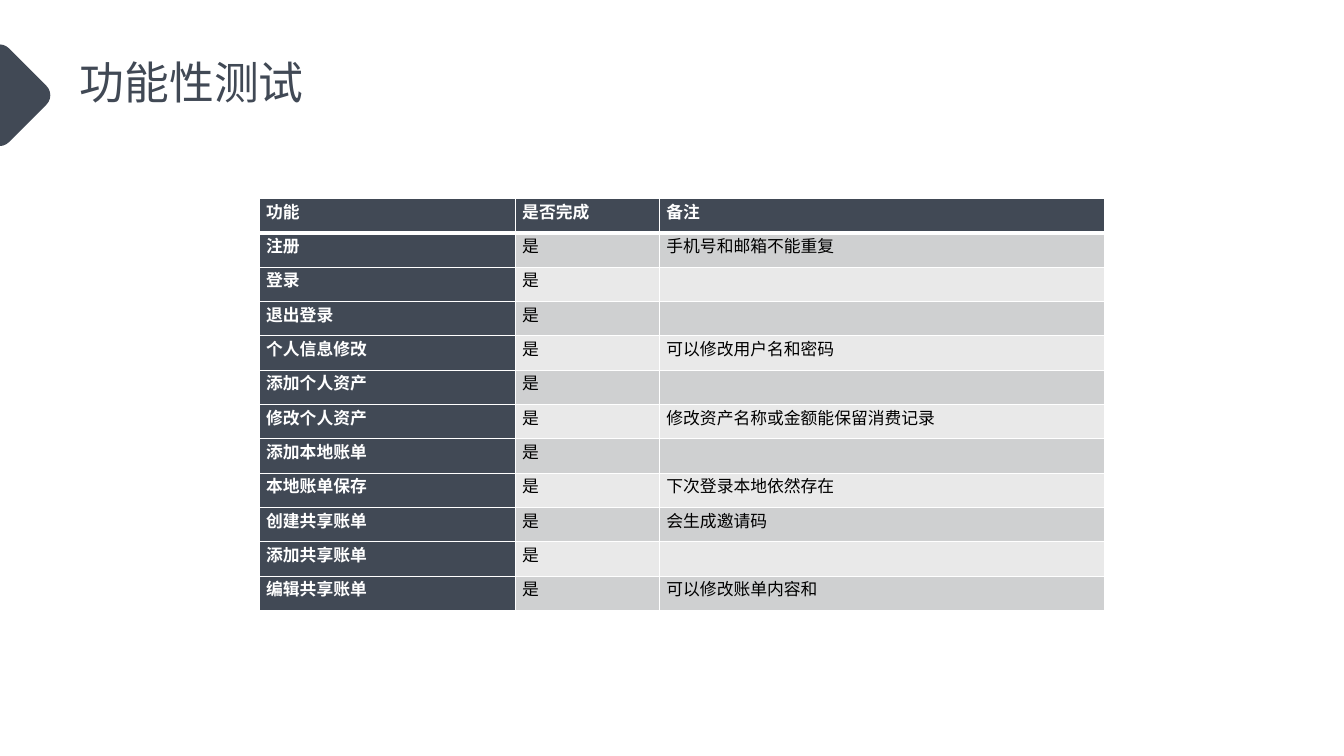
from dataclasses import dataclass

from lxml.etree import SubElement
from pptx import Presentation
from pptx.dml.color import RGBColor
from pptx.enum.shapes import MSO_SHAPE
from pptx.enum.text import MSO_ANCHOR, MSO_AUTO_SIZE, PP_ALIGN
from pptx.oxml.ns import qn
from pptx.util import Inches, Pt


@dataclass(frozen=True)
class Theme:
    font: str = "Noto Sans CJK SC"
    slate: str = "414955"
    white: str = "FFFFFF"
    black: str = "000000"
    bands: tuple = ("CFD0D1", "E9E9E9")
    title_size: int = 32
    table_size: int = 12
    border: int = 1
    header_rule: int = 3


THEME = Theme()
DONE = "是"
HEADER = ("功能", "是否完成", "备注")
FEATURES = (
    ("注册", "手机号和邮箱不能重复"),
    ("登录", ""),
    ("退出登录", ""),
    ("个人信息修改", "可以修改用户名和密码"),
    ("添加个人资产", ""),
    ("修改个人资产", "修改资产名称或金额能保留消费记录"),
    ("添加本地账单", ""),
    ("本地账单保存", "下次登录本地依然存在"),
    ("创建共享账单", "会生成邀请码"),
    ("添加共享账单", ""),
    ("编辑共享账单", "可以修改账单内容和"),
)


def paint(shape, color):
    shape.fill.solid()
    shape.fill.fore_color.rgb = RGBColor.from_string(color)


def add_run(paragraph, text, size, color, bold=False):
    run = paragraph.add_run()
    run.text = text
    run.font.name = THEME.font
    run.font.size = Pt(size)
    run.font.bold = bold
    run.font.color.rgb = RGBColor.from_string(color)
    SubElement(run.font._element, qn("a:ea"), typeface=THEME.font)


def add_corner_diamond(slide):
    side = Inches(0.79)
    diamond = slide.shapes.add_shape(
        MSO_SHAPE.ROUNDED_RECTANGLE, Inches(-0.4), Inches(0.55), side, side)
    diamond.rotation = 45
    diamond.shadow.inherit = False
    paint(diamond, THEME.slate)
    diamond.line.fill.background()


def set_title(slide, text):
    title = slide.shapes.title
    title.left, title.top = Inches(0.69), Inches(0.49)
    title.width, title.height = Inches(3.75), Inches(0.64)
    frame = title.text_frame
    frame.word_wrap = True
    frame.auto_size = MSO_AUTO_SIZE.NONE
    frame.vertical_anchor = MSO_ANCHOR.TOP
    paragraph = frame.paragraphs[0]
    paragraph.alignment = PP_ALIGN.LEFT
    add_run(paragraph, text, THEME.title_size, THEME.slate)


def set_borders(cell, top, bottom):
    """Draw white cell borders; top and bottom are widths in points."""
    properties = cell._tc.get_or_add_tcPr()
    widths = {"lnL": THEME.border, "lnR": THEME.border, "lnT": top, "lnB": bottom}
    for side, width in widths.items():
        line = SubElement(properties, qn(f"a:{side}"), w=str(Pt(width)))
        fill = SubElement(line, qn("a:solidFill"))
        SubElement(fill, qn("a:srgbClr"), val=THEME.white)


def fill_cell(cell, text, row, column):
    is_heading = row == 0 or column == 0
    set_borders(cell,
                top=THEME.header_rule if row == 1 else THEME.border,
                bottom=THEME.header_rule if row == 0 else THEME.border)
    paint(cell, THEME.slate if is_heading else THEME.bands[(row - 1) % 2])
    cell.margin_left = cell.margin_right = Inches(0.07)
    cell.margin_top = cell.margin_bottom = 0
    paragraph = cell.text_frame.paragraphs[0]
    paragraph.alignment = PP_ALIGN.JUSTIFY
    if text:
        add_run(paragraph, text, THEME.table_size,
                THEME.white if is_heading else THEME.black, is_heading)
    else:
        SubElement(paragraph._p, qn("a:endParaRPr"), sz=str(THEME.table_size * 100))


def add_feature_table(slide):
    rows = [HEADER] + [(feature, DONE, note) for feature, note in FEATURES]
    widths = (2.54, 1.43, 4.42)
    table = slide.shapes.add_table(
        len(rows), len(widths), Inches(2.57), Inches(1.97),
        Inches(sum(widths)), Inches(4.09)).table
    table.first_col = True
    for column, width in zip(table.columns, widths):
        column.width = Inches(width)
    for row, texts in enumerate(rows):
        for column, text in enumerate(texts):
            fill_cell(table.cell(row, column), text, row, column)


def main():
    presentation = Presentation()
    presentation.slide_width = Inches(13.33)
    presentation.slide_height = Inches(7.5)
    title_only = presentation.slide_layouts.get_by_name("Title Only")
    slide = presentation.slides.add_slide(title_only)
    add_corner_diamond(slide)
    set_title(slide, "功能性测试")
    add_feature_table(slide)
    presentation.save("out.pptx")


if __name__ == "__main__":
    main()
